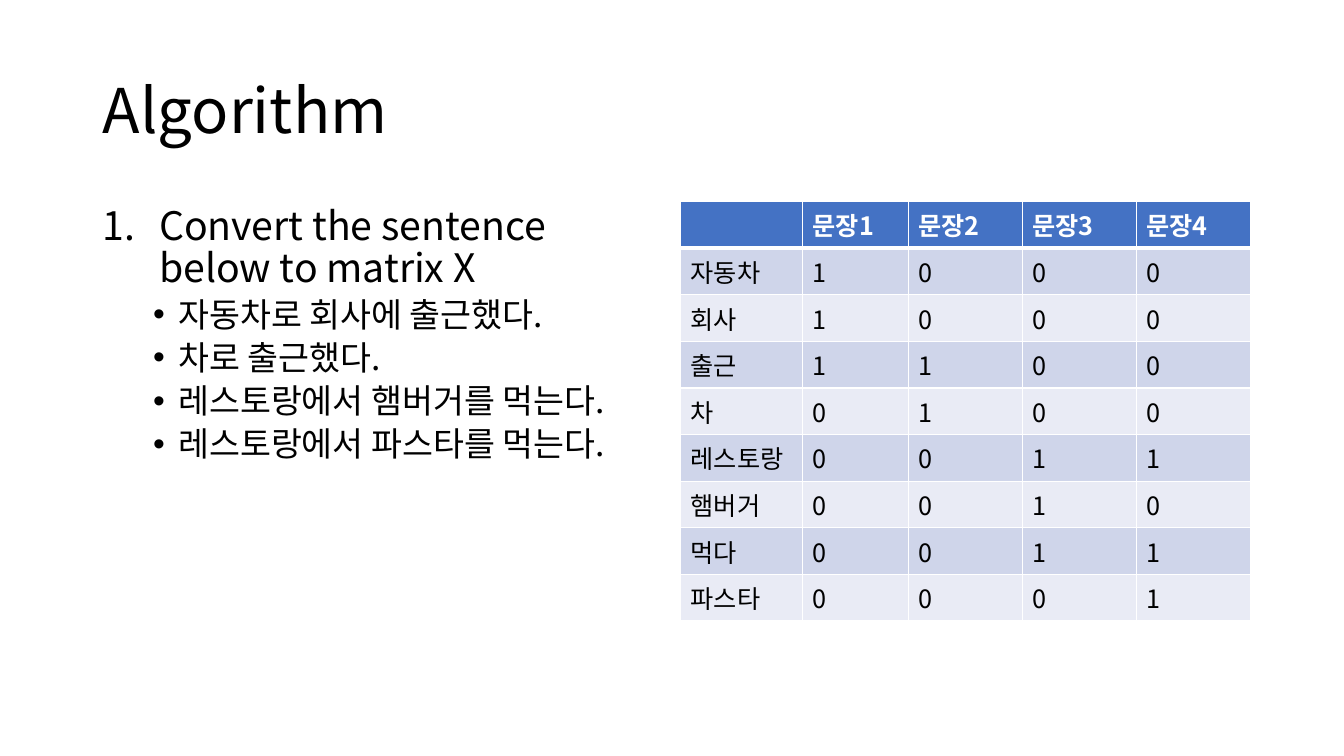
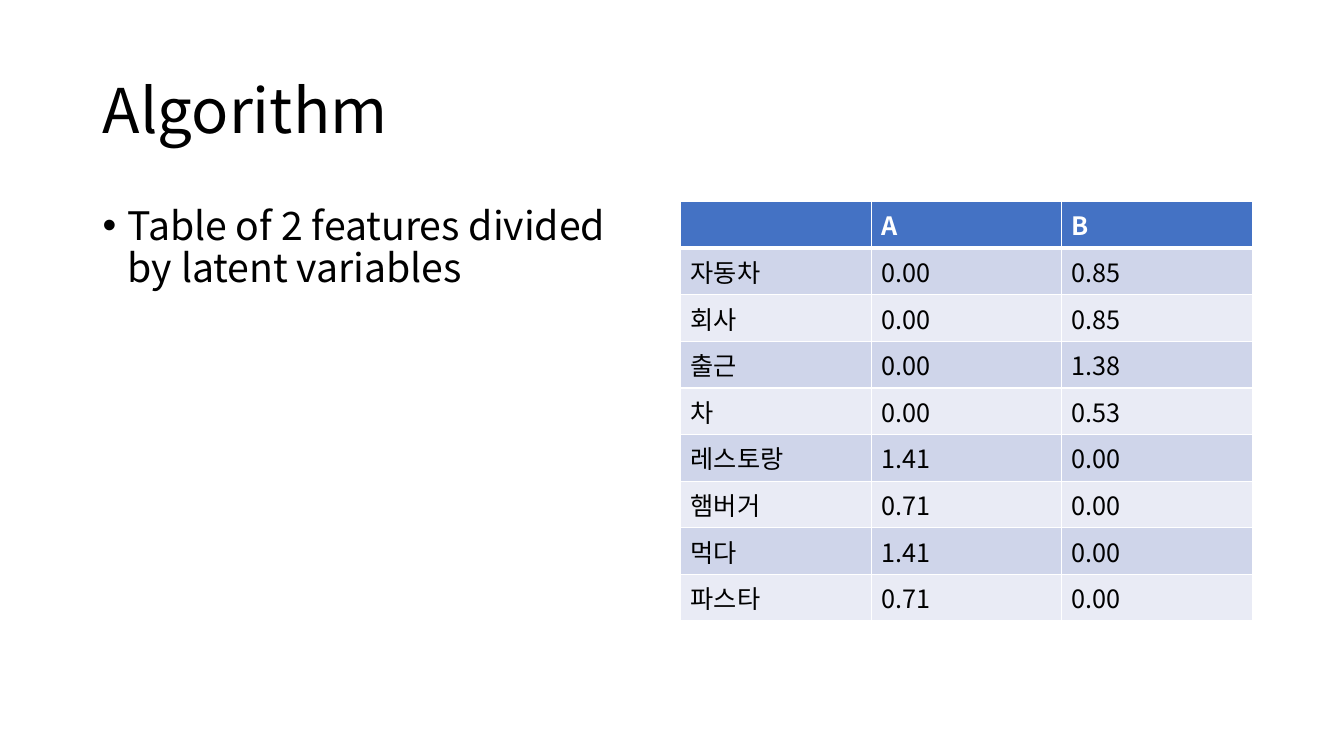
from pptx import Presentation
from pptx.dml.color import RGBColor
from pptx.enum.text import MSO_ANCHOR, MSO_AUTO_SIZE, PP_ALIGN
from pptx.oxml.ns import qn
from pptx.util import Inches, Pt
from lxml.etree import SubElement

FONT = "Noto Sans CJK KR"
BLACK, WHITE = "000000", "FFFFFF"
HEADER_FILL = "4472C4"
ROW_FILLS = ("CFD5EA", "E9EBF5")
CONTENT_TOP, ROW_HEIGHT = 2, 0.41

LIST_STYLES = {
    "number": dict(level=0, size=28, left=0.56, hanging=0.56, before=10),
    "bullet": dict(level=0, size=28, left=0.25, hanging=0.25, before=10),
    "sub": dict(level=1, size=24, left=0.75, hanging=0.25, before=5),
}

WORDS = ["자동차", "회사", "출근", "차", "레스토랑", "햄버거", "먹다", "파스타"]

SLIDES = [
    {
        "title": "Algorithm",
        "points": [
            ("number", "Convert the sentence below to matrix X"),
            ("sub", "자동차로 회사에 출근했다."),
            ("sub", "차로 출근했다."),
            ("sub", "레스토랑에서 햄버거를 먹는다."),
            ("sub", "레스토랑에서 파스타를 먹는다."),
        ],
        "header": ["문장1", "문장2", "문장3", "문장4"],
        "values": ["1000", "1000", "1100", "0100", "0011", "0010", "0011", "0001"],
        "widths": [1.21, 1.05, 1.13, 1.13, 1.13],
    },
    {
        "title": "Algorithm",
        "points": [("bullet", "Table of 2 features divided by latent variables")],
        "header": ["A", "B"],
        "values": [
            ("0.00", "0.85"), ("0.00", "0.85"), ("0.00", "1.38"), ("0.00", "0.53"),
            ("1.41", "0.00"), ("0.71", "0.00"), ("1.41", "0.00"), ("0.71", "0.00"),
        ],
        "widths": [1.89] * 3,
    },
]


def color(value):
    return RGBColor.from_string(value)


def add_run(paragraph, text, size, text_color=BLACK, bold=False):
    run = paragraph.add_run()
    run.text = text
    run.font.size = Pt(size)
    run.font.name = FONT
    run.font.bold = bold
    run.font.color.rgb = color(text_color)
    SubElement(run.font._element, qn("a:ea"), typeface=FONT)


def set_title(slide, text):
    title = slide.shapes.title
    title.left, title.top = Inches(0.92), Inches(0.4)
    title.width, title.height = Inches(11.5), Inches(1.45)
    frame = title.text_frame
    frame.vertical_anchor = MSO_ANCHOR.MIDDLE
    frame.auto_size = MSO_AUTO_SIZE.TEXT_TO_FIT_SHAPE
    paragraph = frame.paragraphs[0]
    paragraph.alignment = PP_ALIGN.LEFT
    paragraph.line_spacing = 0.9
    add_run(paragraph, text, 44)


def add_points(slide, points):
    box = slide.shapes.add_textbox(
        Inches(0.92), Inches(CONTENT_TOP), Inches(5.67), Inches(4.76))
    frame = box.text_frame
    frame.word_wrap = True
    frame.auto_size = MSO_AUTO_SIZE.TEXT_TO_FIT_SHAPE
    for index, (kind, text) in enumerate(points):
        style = LIST_STYLES[kind]
        paragraph = frame.add_paragraph() if index else frame.paragraphs[0]
        properties = paragraph._p.get_or_add_pPr()
        properties.set("marL", str(Inches(style["left"])))
        properties.set("indent", str(-Inches(style["hanging"])))
        if kind == "number":
            SubElement(properties, qn("a:buFont"), typeface="+mj-lt")
            SubElement(properties, qn("a:buAutoNum"), type="arabicPeriod")
        else:
            SubElement(properties, qn("a:buFont"), typeface="Arial")
            SubElement(properties, qn("a:buChar"), char="•")
        paragraph.level = style["level"]
        paragraph.line_spacing = 0.9
        if index:
            paragraph.space_before = Pt(style["before"])
        add_run(paragraph, text, style["size"])


def set_borders(cell, top, bottom):
    properties = cell._tc.get_or_add_tcPr()
    for side, width in (("L", 1), ("R", 1), ("T", top), ("B", bottom)):
        line = SubElement(properties, qn(f"a:ln{side}"), w=str(Pt(width)))
        fill = SubElement(line, qn("a:solidFill"))
        SubElement(fill, qn("a:srgbClr"), val=WHITE)


def add_word_table(slide, header, values, widths):
    rows = [["", *header]] + [[word, *row] for word, row in zip(WORDS, values)]
    table = slide.shapes.add_table(
        len(rows), len(widths), Inches(6.75), Inches(CONTENT_TOP),
        Inches(sum(widths)), Inches(ROW_HEIGHT * len(rows))).table
    for column, width in zip(table.columns, widths):
        column.width = Inches(width)
    for row_index, row in enumerate(rows):
        table.rows[row_index].height = Inches(ROW_HEIGHT)
        is_header = row_index == 0
        fill = HEADER_FILL if is_header else ROW_FILLS[(row_index - 1) % 2]
        for column_index, text in enumerate(row):
            cell = table.cell(row_index, column_index)
            set_borders(cell, 3 if row_index == 1 else 1, 3 if is_header else 1)
            cell.fill.solid()
            cell.fill.fore_color.rgb = color(fill)
            if text:
                add_run(cell.text_frame.paragraphs[0], text, 18,
                        WHITE if is_header else BLACK, is_header)


def main():
    presentation = Presentation()
    presentation.slide_width = Inches(13.33)
    presentation.slide_height = Inches(7.5)
    for content in SLIDES:
        slide = presentation.slides.add_slide(presentation.slide_layouts[5])
        set_title(slide, content["title"])
        add_points(slide, content["points"])
        add_word_table(slide, content["header"], content["values"], content["widths"])
    presentation.save("out.pptx")


if __name__ == "__main__":
    main()
